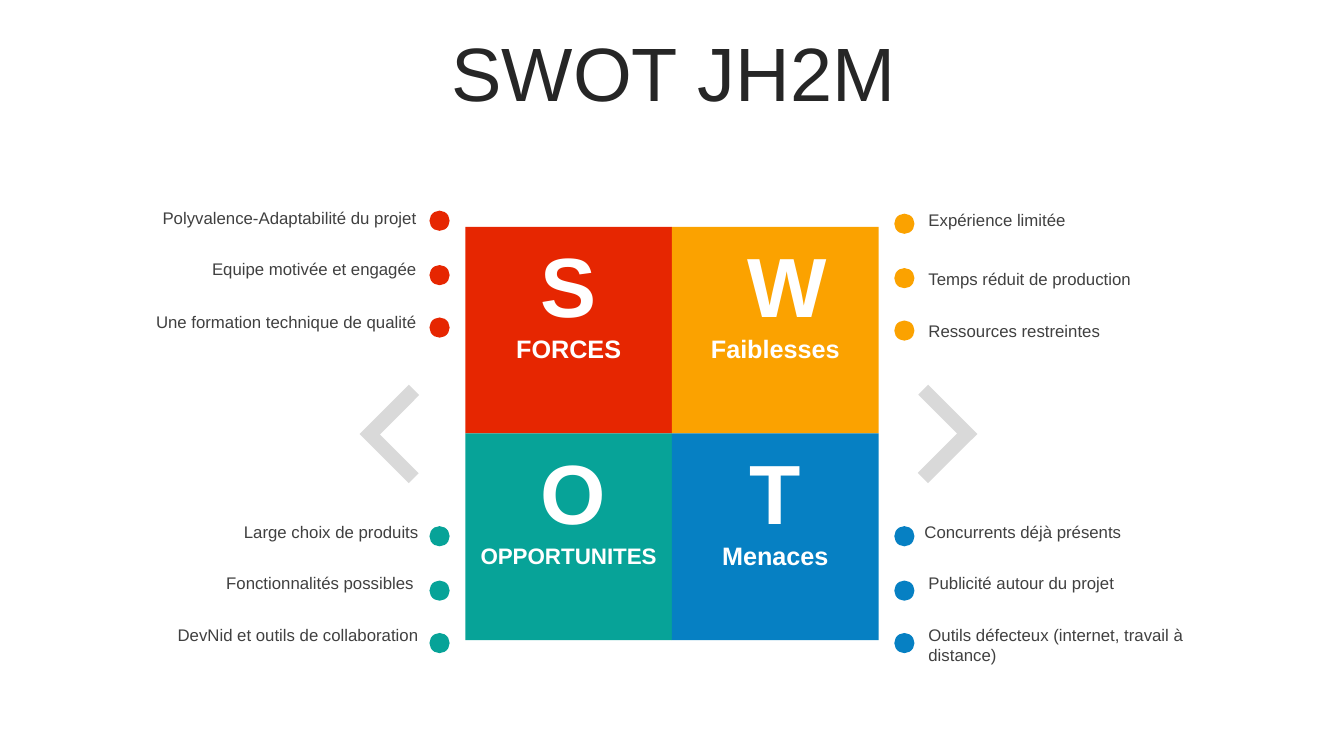
from pptx import Presentation
from pptx.dml.color import RGBColor
from pptx.enum.shapes import MSO_SHAPE
from pptx.enum.text import MSO_ANCHOR, MSO_AUTO_SIZE, PP_ALIGN
from pptx.util import Inches, Pt

RED = RGBColor(0xE6, 0x26, 0x01)
ORANGE = RGBColor(0xFB, 0xA2, 0x00)
TEAL = RGBColor(0x07, 0xA3, 0x98)
BLUE = RGBColor(0x06, 0x80, 0xC3)
WHITE = RGBColor(0xFF, 0xFF, 0xFF)
TITLE_GRAY = RGBColor(0x26, 0x26, 0x26)
TEXT_GRAY = RGBColor(0x40, 0x40, 0x40)
CHEVRON_GRAY = RGBColor(0xD9, 0xD9, 0xD9)

RECTANGLE = MSO_SHAPE.RECTANGLE
DOT = MSO_SHAPE.FLOWCHART_CONNECTOR
CORNER = MSO_SHAPE.CORNER
LEFT, CENTER, RIGHT = PP_ALIGN.LEFT, PP_ALIGN.CENTER, PP_ALIGN.RIGHT
TOP, MIDDLE = MSO_ANCHOR.TOP, MSO_ANCHOR.MIDDLE
FIT_SHAPE, NO_FIT = MSO_AUTO_SIZE.SHAPE_TO_FIT_TEXT, MSO_AUTO_SIZE.NONE

SIDE = 2.05
GRID_LEFT = 13.33 / 2 - SIDE
GRID_TOP = 2.25
DOT_SIZE = 0.2
DOT_STEPS = (0, 0.54, 1.06)
DOT_LEFTS = (4.26, 8.87)
LIST_WIDTH = 3.39
CHEVRON_SIZE = 0.69

presentation = Presentation()
presentation.slide_width = Inches(13.33)
presentation.slide_height = Inches(7.5)
slide = presentation.slides.add_slide(presentation.slide_layouts[5])


def write(shape, text, size, color, alignment, anchor=TOP, bold=False):
    frame = shape.text_frame
    frame.word_wrap = True
    frame.vertical_anchor = anchor
    paragraph = frame.paragraphs[0]
    paragraph.alignment = alignment
    run = paragraph.add_run()
    run.text = text
    run.font.name = "Arial"
    run.font.size = Pt(size)
    run.font.bold = bold
    run.font.color.rgb = color
    return frame


def add_filled(kind, left, top, size, color):
    shape = slide.shapes.add_shape(
        kind, Inches(left), Inches(top), Inches(size), Inches(size))
    shape.shadow.inherit = False
    shape.fill.solid()
    shape.fill.fore_color.rgb = color
    shape.line.fill.background()
    return shape


title = slide.shapes.title
title.left, title.top = Inches(0.35), Inches(0.37)
title.width, title.height = Inches(12.66), Inches(0.79)
title_frame = write(title, "SWOT JH2M", 54, TITLE_GRAY, CENTER, MIDDLE)
title_frame.auto_size = NO_FIT
title_frame.paragraphs[0].line_spacing = 0.9

quadrants = [
    (0, 0, "S", "FORCES", 18, RED, 2.09, [
        ("Polyvalence-Adaptabilité du projet", 0.84, 2.01),
        ("Equipe motivée et engagée", 0.84, 2.52),
        ("Une formation technique de qualité", 0.84, 3.04)]),
    (1, 0, "W", "Faiblesses", 18, ORANGE, 2.12, [
        ("Expérience limitée", 9.11, 2.03),
        ("Temps réduit de production", 9.11, 2.62),
        ("Ressources restreintes", 9.11, 3.13)]),
    (0, 1, "O", "OPPORTUNITES", 16, TEAL, 5.22, [
        ("Large choix de produits", 0.86, 5.13),
        ("Fonctionnalités possibles ", 0.86, 5.63),
        ("DevNid et outils de collaboration", 0.86, 6.15)]),
    (1, 1, "T", "Menaces", 18, BLUE, 5.22, [
        ("Concurrents déjà présents", 9.07, 5.13),
        ("Publicité autour du projet", 9.11, 5.63),
        ("Outils défecteux (internet, travail à distance)", 9.11, 6.15)]),
]

for column, row, letter, caption, caption_size, color, dots_top, items in quadrants:
    left = GRID_LEFT + column * SIDE
    top = GRID_TOP + row * SIDE
    add_filled(RECTANGLE, left, top, SIDE, color)

    letter_box = slide.shapes.add_textbox(
        Inches(left + 0.65), Inches(top + 0.07), Inches(0.74), Inches(1.01))
    letter_frame = write(letter_box, letter, 60, WHITE, CENTER, bold=True)
    letter_frame.margin_top = letter_frame.margin_bottom = 0
    letter_frame.auto_size = FIT_SHAPE

    caption_box = slide.shapes.add_textbox(
        Inches(left), Inches(top + 1.01), Inches(SIDE), Inches(0.4))
    write(caption_box, caption, caption_size, WHITE, CENTER, MIDDLE, True)

    for step, (text, text_left, text_top) in zip(DOT_STEPS, items):
        add_filled(DOT, DOT_LEFTS[column], dots_top + step, DOT_SIZE, color)
        item_box = slide.shapes.add_textbox(
            Inches(text_left), Inches(text_top), Inches(LIST_WIDTH), Inches(0.3))
        item_frame = write(item_box, text, 12, TEXT_GRAY, (RIGHT, LEFT)[column])
        item_frame.auto_size = FIT_SHAPE

for chevron_left, rotation in ((3.71, 45), (8.86, 225)):
    chevron = add_filled(CORNER, chevron_left, 3.96, CHEVRON_SIZE, CHEVRON_GRAY)
    chevron.rotation = rotation
    chevron.adjustments[0] = 0.2
    chevron.adjustments[1] = 0.21

presentation.save("out.pptx")
